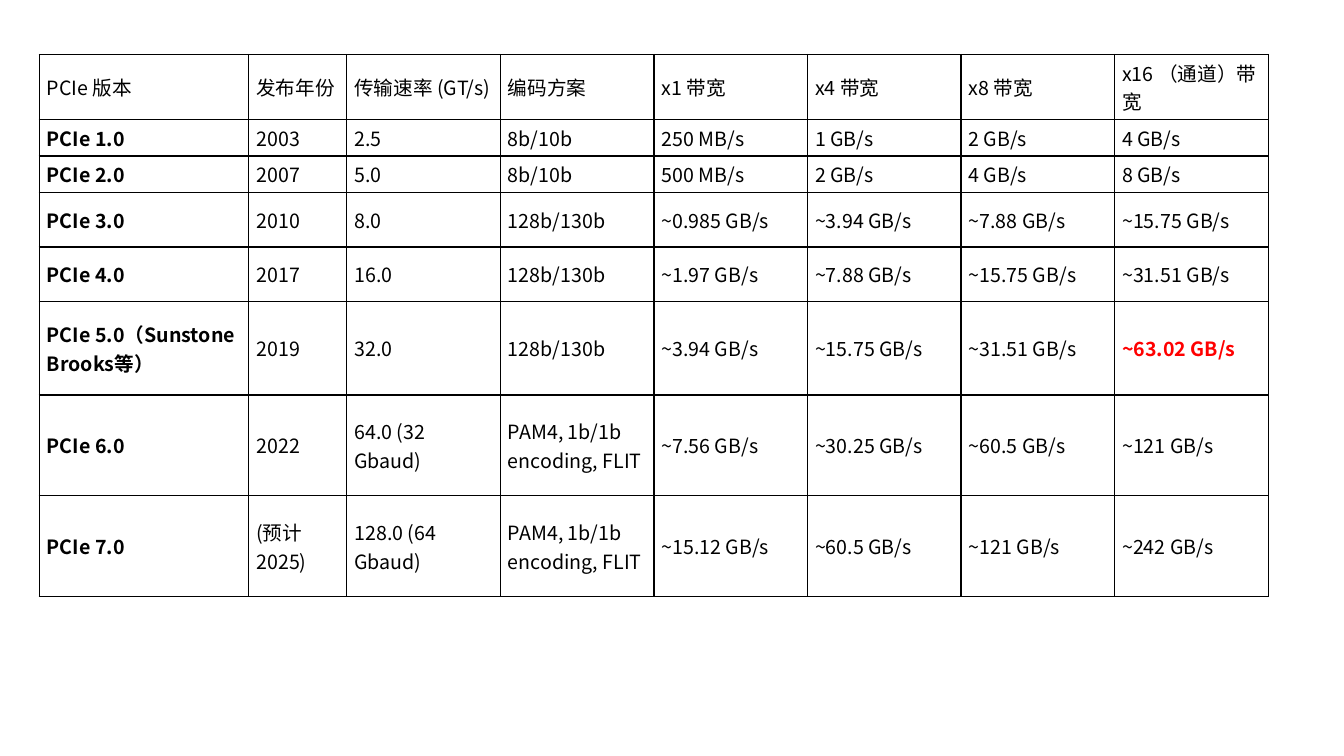
from lxml import etree
from pptx import Presentation
from pptx.dml.color import RGBColor
from pptx.enum import text
from pptx.oxml.ns import qn
from pptx.util import Cm, Pt

BLACK = RGBColor(0x00, 0x00, 0x00)
RED = RGBColor(0xFF, 0x00, 0x00)
FONT = "Noto Sans CJK SC"

ROWS = [
    ["PCIe 版本", "发布年份", "传输速率 (GT/s)", "编码方案",
     "x1 带宽", "x4 带宽", "x8 带宽", "x16 （通道）带宽"],
    ["PCIe 1.0", "2003", "2.5", "8b/10b",
     "250 MB/s", "1 GB/s", "2 GB/s", "4 GB/s"],
    ["PCIe 2.0", "2007", "5.0", "8b/10b",
     "500 MB/s", "2 GB/s", "4 GB/s", "8 GB/s"],
    ["PCIe 3.0", "2010", "8.0", "128b/130b",
     "~0.985 GB/s", "~3.94 GB/s", "~7.88 GB/s", "~15.75 GB/s"],
    ["PCIe 4.0", "2017", "16.0", "128b/130b",
     "~1.97 GB/s", "~7.88 GB/s", "~15.75 GB/s", "~31.51 GB/s"],
    ["PCIe 5.0（Sunstone Brooks等）", "2019", "32.0", "128b/130b",
     "~3.94 GB/s", "~15.75 GB/s", "~31.51 GB/s", "~63.02 GB/s"],
    ["PCIe 6.0", "2022", "64.0 (32 Gbaud)", "PAM4, 1b/1b encoding, FLIT",
     "~7.56 GB/s", "~30.25 GB/s", "~60.5 GB/s", "~121 GB/s"],
    ["PCIe 7.0", "(预计2025)", "128.0 (64 Gbaud)", "PAM4, 1b/1b encoding, FLIT",
     "~15.12 GB/s", "~60.5 GB/s", "~121 GB/s", "~242 GB/s"],
]
WIDTHS = [5.28, 2.47] + [3.87] * 6
HEIGHTS = [1.37, 0.79, 0.79, 1.37, 1.37, 1.37, 2.54, 2.54]
PEAK = (5, 7)  # the highlighted x16 figure


def frame(cell):
    """Draw a thin black line on all four sides of a cell."""
    props = cell._tc.get_or_add_tcPr()
    for side in ("a:lnL", "a:lnR", "a:lnT", "a:lnB"):
        line = etree.SubElement(props, qn(side), w=str(Pt(1)))
        fill = etree.SubElement(line, qn("a:solidFill"))
        etree.SubElement(fill, qn("a:srgbClr"), val=str(BLACK))


deck = Presentation()
deck.slide_width, deck.slide_height = Cm(33.87), Cm(19.05)
slide = deck.slides.add_slide(deck.slide_layouts[6])

# Table grid
grid = slide.shapes.add_table(len(ROWS), len(WIDTHS), Cm(0.99), Cm(1.37),
                              Cm(sum(WIDTHS)), Cm(sum(HEIGHTS))).table
grid.horz_banding = False
for col, width in zip(grid.columns, WIDTHS):
    col.width = Cm(width)
for row, height in zip(grid.rows, HEIGHTS):
    row.height = Cm(height)

# Cells: bold version names, one red peak value
for r, row in enumerate(ROWS):
    for c, words in enumerate(row):
        cell = grid.cell(r, c)
        frame(cell)
        cell.fill.background()
        cell.vertical_anchor = text.MSO_ANCHOR.MIDDLE
        cell.margin_left = cell.margin_right = Cm(0.19)
        cell.margin_top = cell.margin_bottom = Cm(0.1)
        run = cell.text_frame.paragraphs[0].add_run()
        run.text = words
        font = run.font
        font.name, font.size = FONT, Pt(14)
        font.bold = (r > 0 and c == 0) or (r, c) == PEAK
        font.color.rgb = RED if (r, c) == PEAK else BLACK
        etree.SubElement(run._r.get_or_add_rPr(), qn("a:ea"), typeface=FONT)

deck.save("out.pptx")
